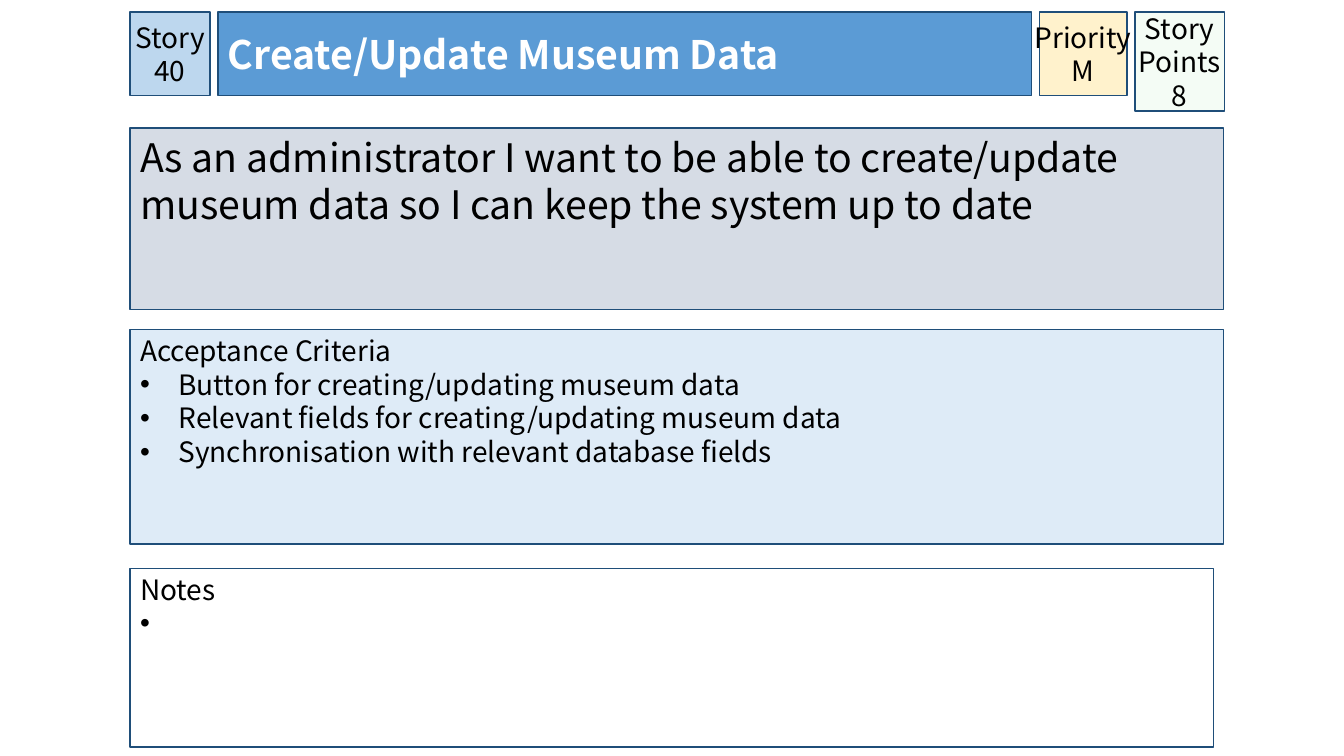
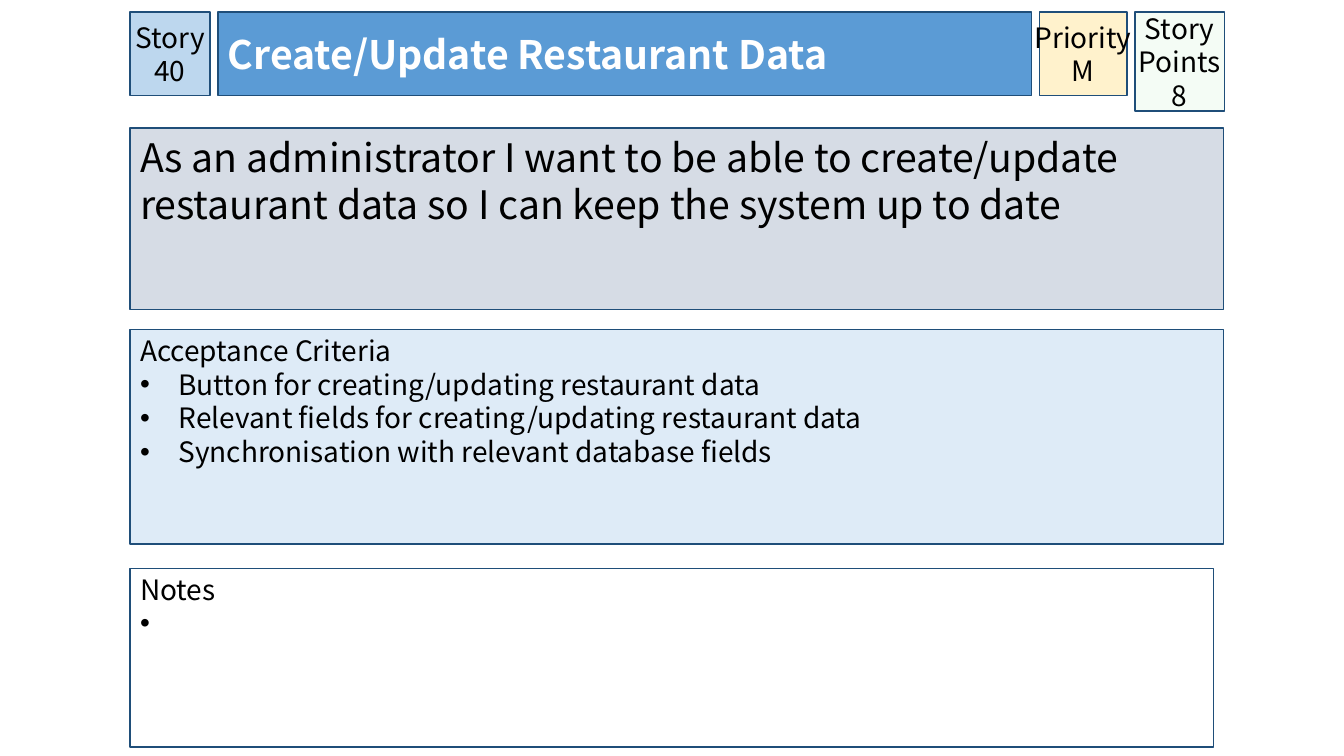
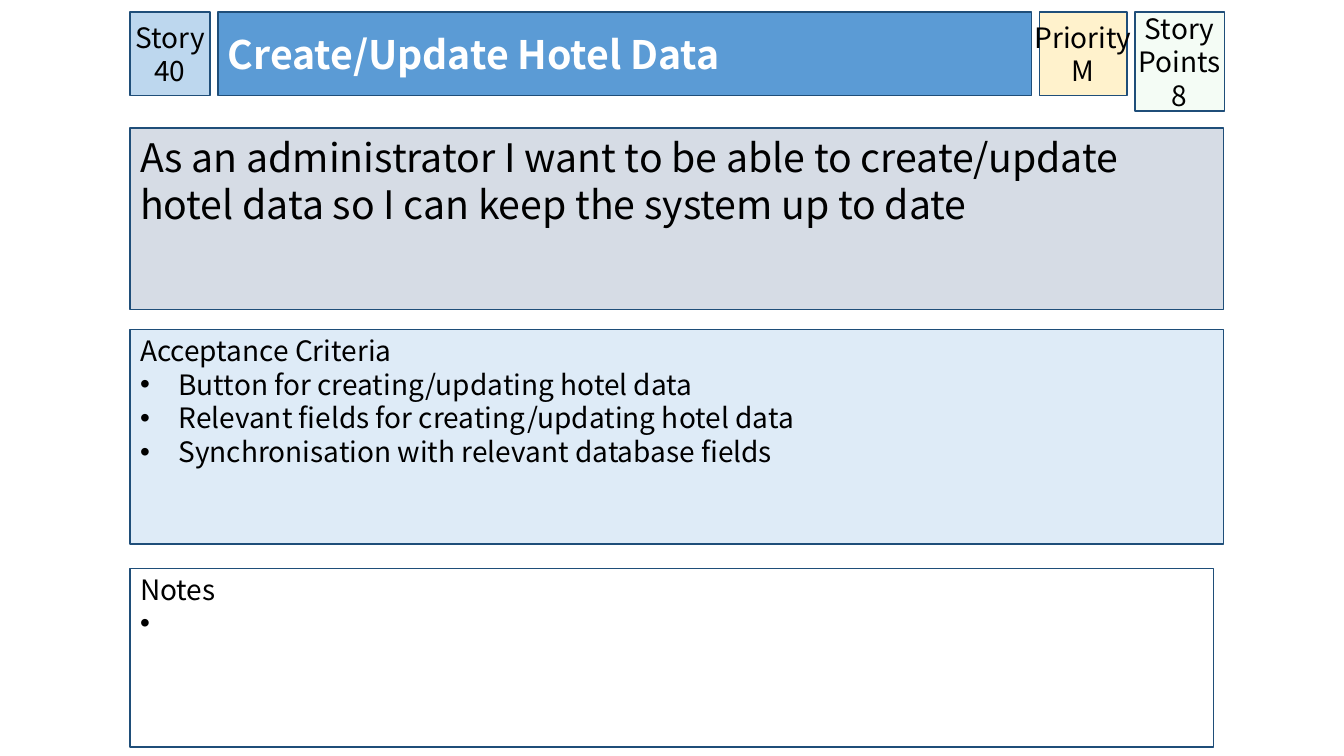
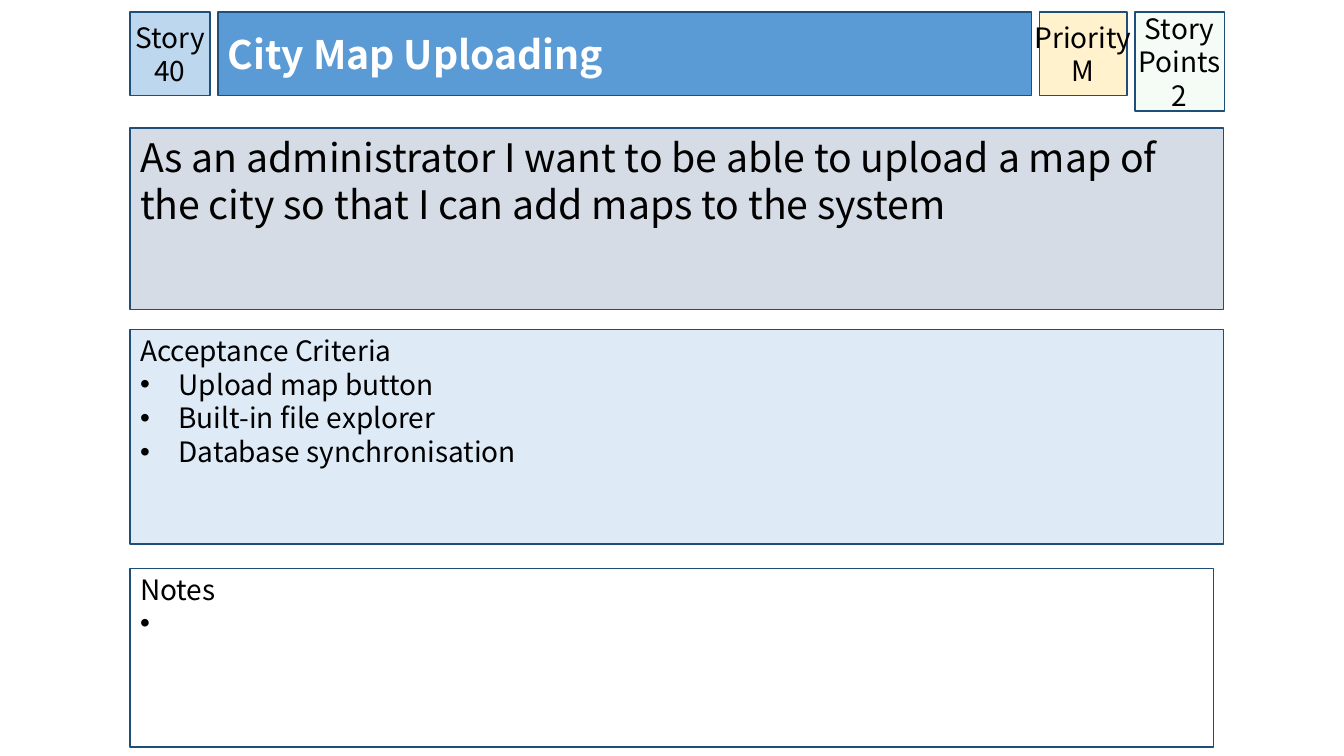
from dataclasses import dataclass

from lxml import etree
from pptx import Presentation
from pptx.dml.color import RGBColor
from pptx.enum import shapes, text
from pptx.oxml import ns
from pptx.shapes.autoshape import Shape
from pptx.slide import Slide
from pptx.util import Cm, Pt

FONT = "Noto Sans CJK KR"
BORDER = "1F4E79"
BLACK = "000000"
WHITE = "FFFFFF"
LEFT = 3.28
TOP = 0.3
GAP = 0.2
PANEL_WIDTH = 27.56


@dataclass(frozen=True)
class Story:
    title: str
    points: int
    wish: str
    criteria: tuple[str, ...]


@dataclass(frozen=True)
class Box:
    left: float
    top: float
    width: float
    height: float
    fill: str
    size: int = 20
    color: str = BLACK
    bold: bool = False
    badge: bool = False
    middle: bool = False
    wrap: bool = True
    indent: float = 0
    opacity: int = 100


def header_lefts(widths: tuple[float, ...]) -> list[float]:
    return [LEFT + sum(widths[:i]) + GAP * i for i in range(len(widths))]


HEADER_WIDTHS = (2.01, 20.5, 2.21, 2.26)
NUMBER_LEFT, TITLE_LEFT, PRIORITY_LEFT, POINTS_LEFT = header_lefts(HEADER_WIDTHS)
NUMBER_WIDTH, TITLE_WIDTH, PRIORITY_WIDTH, POINTS_WIDTH = HEADER_WIDTHS

NUMBER = Box(NUMBER_LEFT, TOP, NUMBER_WIDTH, 2.11, "BDD7EE", badge=True, middle=True)
TITLE = Box(TITLE_LEFT, TOP, TITLE_WIDTH, 2.11, "5B9BD5", size=28, color=WHITE,
            bold=True, middle=True)
PRIORITY = Box(PRIORITY_LEFT, TOP, PRIORITY_WIDTH, 2.11, "FFF2CC", badge=True,
               middle=True, wrap=False)
POINTS = Box(POINTS_LEFT, TOP, POINTS_WIDTH, 2.5, "CCF0CD", badge=True, middle=True,
             opacity=20)
WISH = Box(LEFT, 3.23, PANEL_WIDTH, 4.57, "D6DCE5", size=28)
CRITERIA = Box(LEFT, 8.31, PANEL_WIDTH, 5.4, "DEEBF7", indent=0.97)
NOTES = Box(LEFT, 14.33, 27.31, 4.5, WHITE, indent=0.51)


def data_story(place: str) -> Story:
    lower = place.lower()
    return Story(
        f"Create/Update {place} Data",
        8,
        f"As an administrator I want to be able to create/update {lower} data "
        "so I can keep the system up to date",
        (
            f"Button for creating/updating {lower} data",
            f"Relevant fields for creating/updating {lower} data",
            "Synchronisation with relevant database fields",
        ),
    )


STORIES = [data_story(place) for place in ("Museum", "Restaurant", "Hotel")] + [
    Story(
        "City Map Uploading",
        2,
        "As an administrator I want to be able to upload a map of the city "
        "so that I can add maps to the system",
        ("Upload map button", "Built-in file explorer", "Database synchronisation"),
    )
]


def rgb(value: str) -> RGBColor:
    return RGBColor.from_string(value)


def set_bullet(paragraph, indent: float) -> None:
    properties = paragraph._p.get_or_add_pPr()
    properties.set("marL", str(Cm(indent)))
    properties.set("indent", str(-Cm(indent)))
    if indent:
        etree.SubElement(properties, ns.qn("a:buFont"), typeface="Arial")
        etree.SubElement(properties, ns.qn("a:buChar"), char="•")
    else:
        etree.SubElement(properties, ns.qn("a:buNone"))


def paint(shape: Shape, box: Box) -> None:
    shape.left, shape.top = Cm(box.left), Cm(box.top)
    shape.width, shape.height = Cm(box.width), Cm(box.height)
    shape.shadow.inherit = False
    shape.fill.solid()
    shape.fill.fore_color.rgb = rgb(box.fill)
    if box.opacity < 100:
        tint = shape._element.spPr.find(".//" + ns.qn("a:srgbClr"))
        etree.SubElement(tint, ns.qn("a:alpha"), val=str(box.opacity * 1000))
    shape.line.color.rgb = rgb(BORDER)
    shape.line.width = Pt(1)


def write(shape: Shape, box: Box, content: str) -> None:
    frame = shape.text_frame
    frame.text = content
    frame.auto_size = text.MSO_AUTO_SIZE.NONE
    frame.word_wrap = box.wrap
    frame.vertical_anchor = text.MSO_ANCHOR.MIDDLE if box.middle else text.MSO_ANCHOR.TOP
    frame.margin_left = frame.margin_right = Cm(0 if box.badge else 0.25)
    frame.margin_top = Cm(0.1 if box.indent else 0.13)
    frame.margin_bottom = Cm(0.13)
    for index, paragraph in enumerate(frame.paragraphs):
        paragraph.alignment = text.PP_ALIGN.CENTER if box.badge else text.PP_ALIGN.LEFT
        paragraph.space_before = Pt(0)
        set_bullet(paragraph, box.indent if index else 0)
        for run in paragraph.runs:
            run.font.name = FONT
            run.font.size = Pt(box.size)
            run.font.bold = box.bold
            run.font.color.rgb = rgb(box.color)


def fill_box(shape: Shape, box: Box, content: str) -> None:
    paint(shape, box)
    write(shape, box, content)


def add_box(slide: Slide, box: Box, content: str) -> None:
    shape = slide.shapes.add_shape(shapes.MSO_SHAPE.RECTANGLE, 0, 0, 0, 0)
    fill_box(shape, box, content)


def add_story(deck, story: Story) -> None:
    slide = deck.slides.add_slide(deck.slide_layouts[1])
    fill_box(slide.shapes.title, TITLE, story.title)
    fill_box(slide.placeholders[1], CRITERIA,
             "\n".join(("Acceptance Criteria", *story.criteria)))
    add_box(slide, NUMBER, "Story 40")
    add_box(slide, WISH, story.wish)
    add_box(slide, POINTS, f"Story Points\n{story.points}")
    add_box(slide, PRIORITY, "Priority\nM")
    add_box(slide, NOTES, "Notes\n ")


def main() -> None:
    deck = Presentation()
    deck.slide_width, deck.slide_height = Cm(33.87), Cm(19.05)
    for story in STORIES:
        add_story(deck, story)
    deck.save("out.pptx")


if __name__ == "__main__":
    main()
